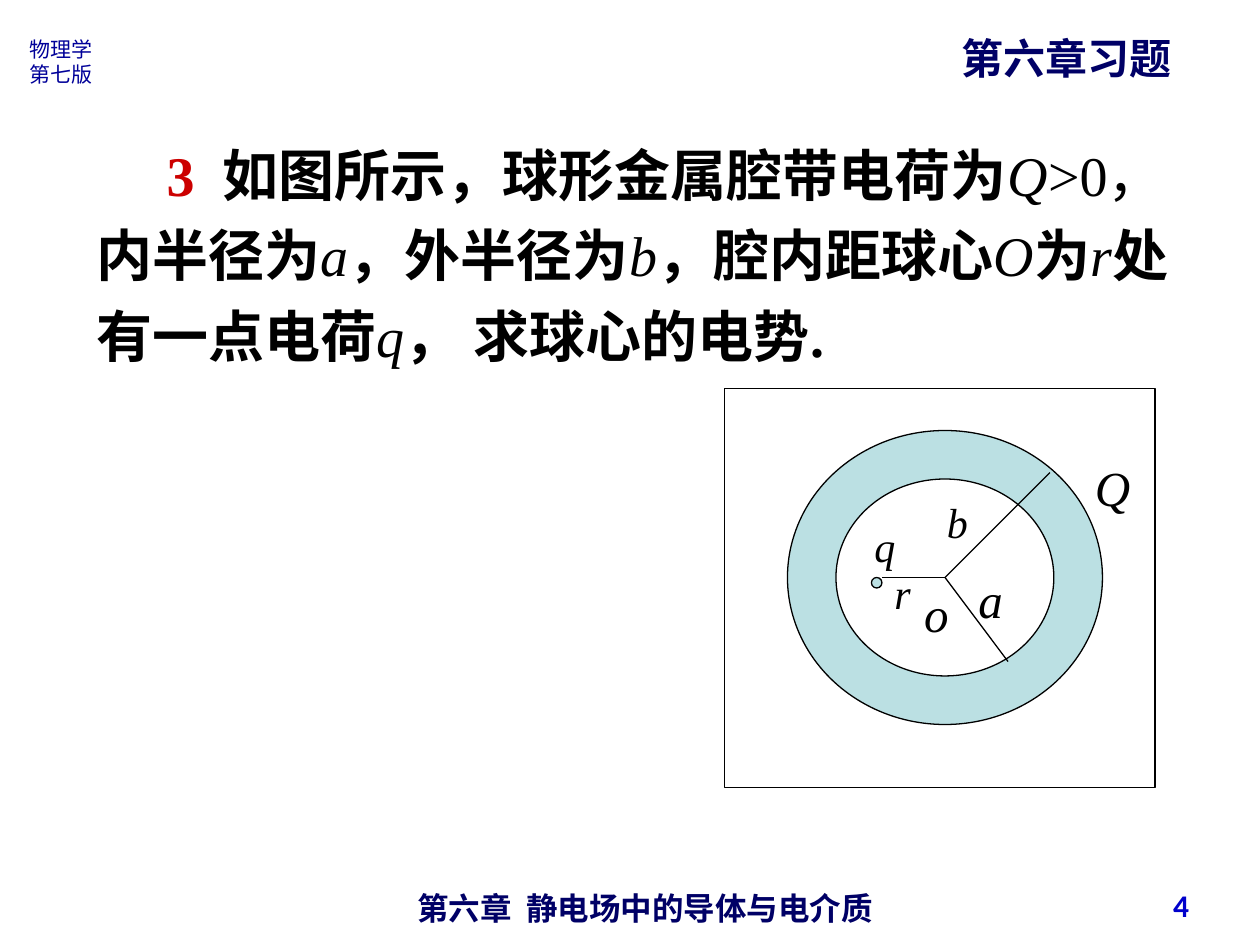
from dataclasses import dataclass
from typing import Optional

import pptx
import pptx.dml.color
import pptx.enum.shapes
import pptx.enum.text
import pptx.oxml
import pptx.oxml.ns
import pptx.util

Pt = pptx.util.Pt
Align = pptx.enum.text.PP_ALIGN
Anchor = pptx.enum.text.MSO_ANCHOR
Shape = pptx.enum.shapes.MSO_SHAPE

COLORS = {"navy": "000066", "blue": "000099", "number": "0000CC",
          "red": "CC0000", "black": "000000", "shell": "BBE0E3"}
CJK, SERIF = "Noto Sans CJK SC", "Times New Roman"


@dataclass
class Run:
    text: str
    bold: bool = False
    italic: bool = False
    color: str = "black"


@dataclass
class Label:
    text: str
    left: float
    top: float
    width: float
    size: float


LABELS = [
    Label("Q", 618.5, 258, 34.5, 28),
    Label("a", 552, 322, 28, 28),
    Label("b", 534, 280, 26, 24),
    Label("r", 504, 321, 24, 24),
    Label("q", 492.5, 294, 26, 24),
    Label("o", 521, 330, 28, 28),
]

QUESTION = [
    Run("3\t", bold=True, color="red"),
    Run("如图所示，球形金属腔带电荷为", bold=True),
    Run("Q", italic=True), Run(">0，"),
    Run("内半径为", bold=True), Run("a", italic=True),
    Run("，外半径为", bold=True), Run("b", italic=True),
    Run("，腔内距球心", bold=True), Run("O", italic=True),
    Run("为", bold=True), Run("r", italic=True),
    Run("处有一点电荷", bold=True), Run("q", italic=True),
    Run("， 求球心的电势.", bold=True),
]

CENTER = (540, 330)
SHELL_SIZE = (180, 168)
SHELL_THICKNESS = 27.75
RADIUS_ENDS = [(600, 270), (576, 378), (504, 330)]


def rgb(name: str) -> pptx.dml.color.RGBColor:
    return pptx.dml.color.RGBColor.from_string(COLORS[name])


def place(sp, left: float, top: float, width: float, height: float) -> None:
    sp.left, sp.top, sp.width, sp.height = map(Pt, (left, top, width, height))


def write(sp, paragraphs: list[list[Run]], *, size: float, font: str,
          align=Align.LEFT, anchor=Anchor.TOP, wrap: bool = True,
          spacing: Optional[float] = None) -> None:
    """Fill a shape with paragraphs of runs; spacing is the line pitch in points."""
    tf = sp.text_frame
    tf.word_wrap = wrap
    tf.auto_size = pptx.enum.text.MSO_AUTO_SIZE.NONE
    tf.vertical_anchor = anchor
    for i, runs in enumerate(paragraphs):
        p = tf.add_paragraph() if i else tf.paragraphs[0]
        p.alignment = align
        p.space_before = Pt(0)
        if spacing:
            p.line_spacing = Pt(spacing)
        for run in runs:
            r = p.add_run()
            r.text = run.text
            r.font.size, r.font.name = Pt(size), font
            r.font.bold, r.font.italic = run.bold, run.italic
            r.font.color.rgb = rgb(run.color)
            ea = pptx.oxml.parse_xml(
                f'<a:ea {pptx.oxml.ns.nsdecls("a")} typeface="{CJK}"/>')
            r.font._element.find(pptx.oxml.ns.qn("a:latin")).addnext(ea)


def add_text(shapes, box: tuple, paragraphs: list[list[Run]], **fmt) -> None:
    write(shapes.add_textbox(*map(Pt, box)), paragraphs, **fmt)


def indent_question(p, first: float, tab: float) -> None:
    """Drop the bullet, indent the first line and set the tab after the number."""
    pPr = p._p.get_or_add_pPr()
    pPr.set("marL", "0")
    pPr.set("indent", str(Pt(first)))
    ns = pptx.oxml.ns.nsdecls("a")
    pPr.append(pptx.oxml.parse_xml(f"<a:buNone {ns}/>"))
    pPr.append(pptx.oxml.parse_xml(
        f'<a:tabLst {ns}><a:tab pos="{Pt(tab)}" algn="l"/></a:tabLst>'))


def add_outline(shapes, kind, box: tuple, fill: Optional[str] = None):
    sp = shapes.add_shape(kind, *map(Pt, box))
    sp.shadow.inherit = False
    if fill:
        sp.fill.solid()
        sp.fill.fore_color.rgb = rgb(fill)
    else:
        sp.fill.background()
    sp.line.color.rgb = rgb("black")
    sp.line.width = Pt(0.75)
    return sp


def add_line(shapes, start: tuple, end: tuple) -> None:
    line = shapes.add_connector(pptx.enum.shapes.MSO_CONNECTOR.STRAIGHT,
                                *map(Pt, start + end))
    line.line.color.rgb = rgb("black")
    line.line.width = Pt(0.75)
    line._element.spPr.append(pptx.oxml.parse_xml(
        f'<a:effectLst {pptx.oxml.ns.nsdecls("a")}/>'))


def draw_cavity(shapes) -> None:
    (cx, cy), (w, h) = CENTER, SHELL_SIZE
    shell = add_outline(shapes, Shape.DONUT,
                        (cx - w / 2, cy - h / 2, w, h), "shell")
    shell.adjustments[0] = SHELL_THICKNESS / min(w, h)
    for end in RADIUS_ENDS:
        add_line(shapes, CENTER, end)
    add_outline(shapes, Shape.OVAL, (498, 330, 6, 6), "shell")
    add_outline(shapes, Shape.RECTANGLE, (414, 222, 246, 228))
    for label in LABELS:
        add_text(shapes, (label.left, label.top, label.width, label.size + 13),
                 [[Run(label.text, italic=True)]],
                 size=label.size, font=SERIF, wrap=False)


def main() -> None:
    prs = pptx.Presentation()
    prs.slide_width, prs.slide_height = Pt(720), Pt(540)
    s = prs.slides.add_slide(prs.slide_layouts[1])
    title, body = s.placeholders

    place(title, 542, 9.2, 152, 42)
    write(title, [[Run("第六章习题", bold=True, color="navy")]],
          size=24, font=CJK, spacing=34.5)

    place(body, 48, 69, 635, 145)
    indent_question(body.text_frame.paragraphs[0], first=40, tab=87)
    write(body, [QUESTION], size=32, font=SERIF, spacing=46)

    add_text(s.shapes, (10, 17.5, 52, 36),
             [[Run(line, color="blue")] for line in ("物理学", "第七版")],
             size=12, font=CJK, spacing=14.4)
    draw_cavity(s.shapes.add_group_shape().shapes)
    add_text(s.shapes, (218, 504.5, 301, 29),
             [[Run("第六章  静电场中的导体与电介质", bold=True, color="navy")]],
             size=18, font="Arial", align=Align.CENTER, spacing=21.6)
    add_text(s.shapes, (518.5, 502.5, 168, 29),
             [[Run("4", bold=True, color="number")]],
             size=18, font="Calibri", align=Align.RIGHT, anchor=Anchor.MIDDLE)
    prs.save("out.pptx")


if __name__ == "__main__":
    main()
